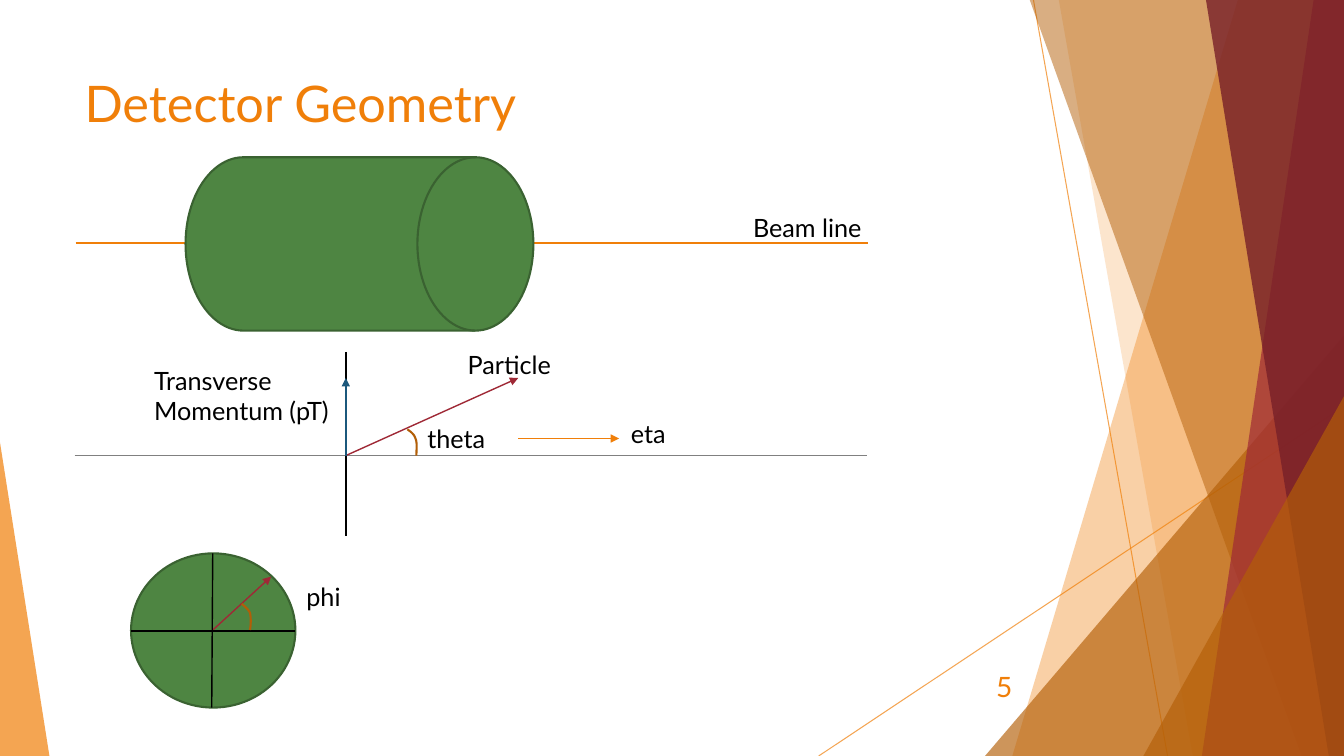
"""Build the Detector Geometry slide."""
from dataclasses import dataclass
from typing import Any

import lxml.etree
import pptx
import pptx.dml.color
import pptx.enum.shapes
import pptx.enum.text
import pptx.oxml.ns
import pptx.shapes.base
import pptx.slide
import pptx.util

RGB = pptx.dml.color.RGBColor
SHAPE = pptx.enum.shapes.MSO_SHAPE
ALIGN = pptx.enum.text.PP_ALIGN
ANCHOR = pptx.enum.text.MSO_ANCHOR
AUTO_SIZE = pptx.enum.text.MSO_AUTO_SIZE
qn = pptx.oxml.ns.qn

PX = 9144
WIDTH, HEIGHT = 1333, 750
FONT = "Lato"
CURVE_STEPS = 16

ORANGE = RGB(0xF0, 0x7F, 0x09)
BROWN = RGB(0xB4, 0x5F, 0x07)
ARC_BROWN = RGB(0xB2, 0x5E, 0x07)
RED = RGB(0x9F, 0x29, 0x36)
MAROON = RGB(0x77, 0x1F, 0x28)
GREEN = RGB(0x4E, 0x85, 0x42)
DARK_GREEN = RGB(0x3A, 0x62, 0x31)
BLUE = RGB(0x1B, 0x58, 0x7C)
GREY = RGB(0x80, 0x80, 0x80)
BLACK = RGB(0, 0, 0)

Point = tuple[float, float]


@dataclass(frozen=True)
class Line:
    """A straight line, optionally ending in an arrowhead."""
    start: tuple[int, int]
    end: tuple[int, int]
    color: RGB
    width: float = 1
    arrow: bool = False
    opacity: int = 100


@dataclass(frozen=True)
class Band:
    """A translucent four-sided band from the top to the bottom edge."""
    top_left: int
    bottom_left: int
    bottom_right: int
    color: RGB
    opacity: int


@dataclass(frozen=True)
class Triangle:
    """A translucent right-angled triangle with its apex at one side."""
    box: tuple[int, int, int, int]
    apex: int
    color: RGB
    opacity: int


@dataclass(frozen=True)
class Solid:
    """A green detector body."""
    box: tuple[int, int, int, int]
    kind: SHAPE


@dataclass(frozen=True)
class Arc:
    """An angle mark made of cubic curves sharing their end points."""
    points: tuple[tuple[int, int], ...]


@dataclass(frozen=True)
class Label:
    """A text box with one paragraph per line."""
    box: tuple[int, int, int, int]
    lines: tuple[str, ...]
    size: int = 18
    color: RGB = BLACK
    wrap: bool = False
    align: ALIGN = ALIGN.LEFT
    anchor: ANCHOR = ANCHOR.TOP


BACKDROP = (
    Line((1025, 0), (1158, 750), ORANGE, 0.75, opacity=70),
    Line((1333, 403), (812, 750), ORANGE, 0.75, opacity=70),
    Band(1228, 1004, WIDTH, ORANGE, 36),
    Band(1050, 1183, WIDTH, ORANGE, 20),
    Triangle((977, 333, 356, 417), 1, BROWN, 66),
    Band(1021, 1291, WIDTH, BROWN, 50),
    Band(1303, 1192, WIDTH, RED, 70),
    Band(1196, 1318, WIDTH, MAROON, 80),
    Triangle((1134, 393, 199, 357), 1, BROWN, 66),
    Triangle((0, 439, 49, 311), 0, ORANGE, 70),
)
CONTENT = (
    Line((75, 241), (751, 241), ORANGE),
    Label((74, 67, 940, 144), ("Detector Geometry",), 36, ORANGE, True),
    Label((939, 661, 75, 40), ("5",), 20, ORANGE, True, ALIGN.RIGHT, ANCHOR.MIDDLE),
    Solid((184, 156, 345, 172), SHAPE.FLOWCHART_DIRECT_ACCESS_STORAGE),
    Line((545, 241), (861, 241), ORANGE),
    Line((74, 452), (750, 452), GREY),
    Line((544, 452), (860, 452), GREY),
    Line((343, 452), (514, 375), RED, arrow=True),
    Solid((130, 549, 163, 153), SHAPE.OVAL),
    Line((210, 626), (269, 572), RED, arrow=True),
    Line((343, 349), (343, 532), BLACK),
    Line((211, 549), (210, 702), BLACK),
    Line((130, 626), (293, 626), BLACK),
    Line((343, 452), (343, 375), BLUE, arrow=True),
    Label((737, 206, 132, 40), ("Beam line",)),
    Label((454, 342, 107, 40), ("Particle",)),
    Label((143, 357, 200, 71), ("Transverse", "Momentum (pT)")),
    Arc(((404, 426), (407, 428), (411, 431), (412, 435),
         (414, 439), (413, 446), (413, 452))),
    Arc(((240, 599), (243, 602), (246, 604), (248, 608),
         (249, 613), (249, 619), (248, 625))),
    Label((414, 415, 81, 40), ("theta",)),
    Label((294, 572, 55, 40), ("phi",)),
    Line((514, 435), (614, 435), ORANGE, arrow=True),
    Label((616, 410, 57, 40), ("eta",)),
)


def apply(target: Any, values: dict[str, Any]) -> None:
    """Set each named format value on the target."""
    for name, value in values.items():
        setattr(target, name, value)


def emu(*lengths: float) -> list[int]:
    """Turn px lengths into EMU."""
    return [round(length * PX) for length in lengths]


def set_opacity(sp: pptx.shapes.base.BaseShape, percent: int) -> None:
    """Make the shape's solid colours translucent."""
    for color in sp._element.spPr.iter(qn("a:srgbClr")):
        lxml.etree.SubElement(color, qn("a:alpha"), val=str(percent * 1000))


def add_line(s: pptx.slide.Slide, line: Line) -> None:
    """Draw a line or arrow."""
    kind = pptx.enum.shapes.MSO_CONNECTOR.STRAIGHT
    sp = s.shapes.add_connector(kind, *emu(*line.start, *line.end))
    sp.line.color.rgb = line.color
    sp.line.width = pptx.util.Pt(line.width)
    if line.opacity < 100:
        set_opacity(sp, line.opacity)
    if line.arrow:
        lxml.etree.SubElement(sp.line._get_or_add_ln(), qn("a:tailEnd"), type="triangle")
    lxml.etree.SubElement(sp._element.spPr, qn("a:effectLst"))


def fill_plain(sp: Any, color: RGB, opacity: int) -> None:
    """Give a shape a translucent fill and no outline."""
    sp.shadow.inherit = False
    sp.fill.solid()
    sp.fill.fore_color.rgb = color
    sp.line.fill.background()
    set_opacity(sp, opacity)


def add_outline(s: pptx.slide.Slide, points: list[Point], close: bool) -> Any:
    """Draw a freeform through the px points."""
    first, *rest = [tuple(emu(*point)) for point in points]
    builder = s.shapes.build_freeform(*first)
    builder.add_line_segments(rest, close=close)
    return builder.convert_to_shape()


def add_band(s: pptx.slide.Slide, band: Band) -> None:
    """Draw a backdrop band."""
    points = [(band.top_left, -1), (WIDTH, -1),
              (band.bottom_right, HEIGHT), (band.bottom_left, HEIGHT)]
    fill_plain(add_outline(s, points, True), band.color, band.opacity)


def add_triangle(s: pptx.slide.Slide, triangle: Triangle) -> None:
    """Draw a backdrop triangle."""
    sp = s.shapes.add_shape(SHAPE.ISOSCELES_TRIANGLE, *emu(*triangle.box))
    sp.adjustments[0] = triangle.apex
    fill_plain(sp, triangle.color, triangle.opacity)


def add_solid(s: pptx.slide.Slide, solid: Solid) -> None:
    """Draw a detector body."""
    sp = s.shapes.add_shape(solid.kind, *emu(*solid.box))
    sp.shadow.inherit = False
    sp.fill.solid()
    sp.fill.fore_color.rgb = GREEN
    sp.line.color.rgb = DARK_GREEN
    sp.line.width = pptx.util.Pt(1.5)


def curve_point(controls: tuple[Point, ...], t: float) -> Point:
    """Find the point at t on a cubic curve."""
    weights = ((1 - t) ** 3, 3 * t * (1 - t) ** 2, 3 * t * t * (1 - t), t ** 3)
    x, y = (sum(w * c[axis] for w, c in zip(weights, controls)) for axis in (0, 1))
    return x, y


def add_arc(s: pptx.slide.Slide, arc: Arc) -> None:
    """Draw an angle mark."""
    points = [arc.points[0]]
    for i in range(0, len(arc.points) - 1, 3):
        points += [curve_point(arc.points[i:i + 4], step / CURVE_STEPS)
                   for step in range(1, CURVE_STEPS + 1)]
    sp = add_outline(s, points, False)
    sp.shadow.inherit = False
    sp.fill.background()
    sp.line.color.rgb = ARC_BROWN
    sp.line.width = pptx.util.Pt(1.5)


def add_label(s: pptx.slide.Slide, label: Label) -> None:
    """Write a text box."""
    tf = s.shapes.add_textbox(*emu(*label.box)).text_frame
    auto_size = AUTO_SIZE.NONE if label.wrap else AUTO_SIZE.SHAPE_TO_FIT_TEXT
    apply(tf, {"word_wrap": label.wrap, "vertical_anchor": label.anchor,
               "auto_size": auto_size})
    for i, line in enumerate(label.lines):
        p = tf.add_paragraph() if i else tf.paragraphs[0]
        p.alignment = label.align
        r = p.add_run()
        r.text = line
        apply(r.font, {"name": FONT, "size": pptx.util.Pt(label.size)})
        r.font.color.rgb = label.color


DRAW = {Line: add_line, Band: add_band, Triangle: add_triangle,
        Solid: add_solid, Arc: add_arc, Label: add_label}


def main() -> None:
    """Build and save the presentation."""
    prs = pptx.Presentation()
    apply(prs, {"slide_width": WIDTH * PX, "slide_height": HEIGHT * PX})
    s = prs.slides.add_slide(prs.slide_layouts[6])
    for item in BACKDROP + CONTENT:
        DRAW[type(item)](s, item)
    prs.save("out.pptx")


if __name__ == "__main__":
    main()
